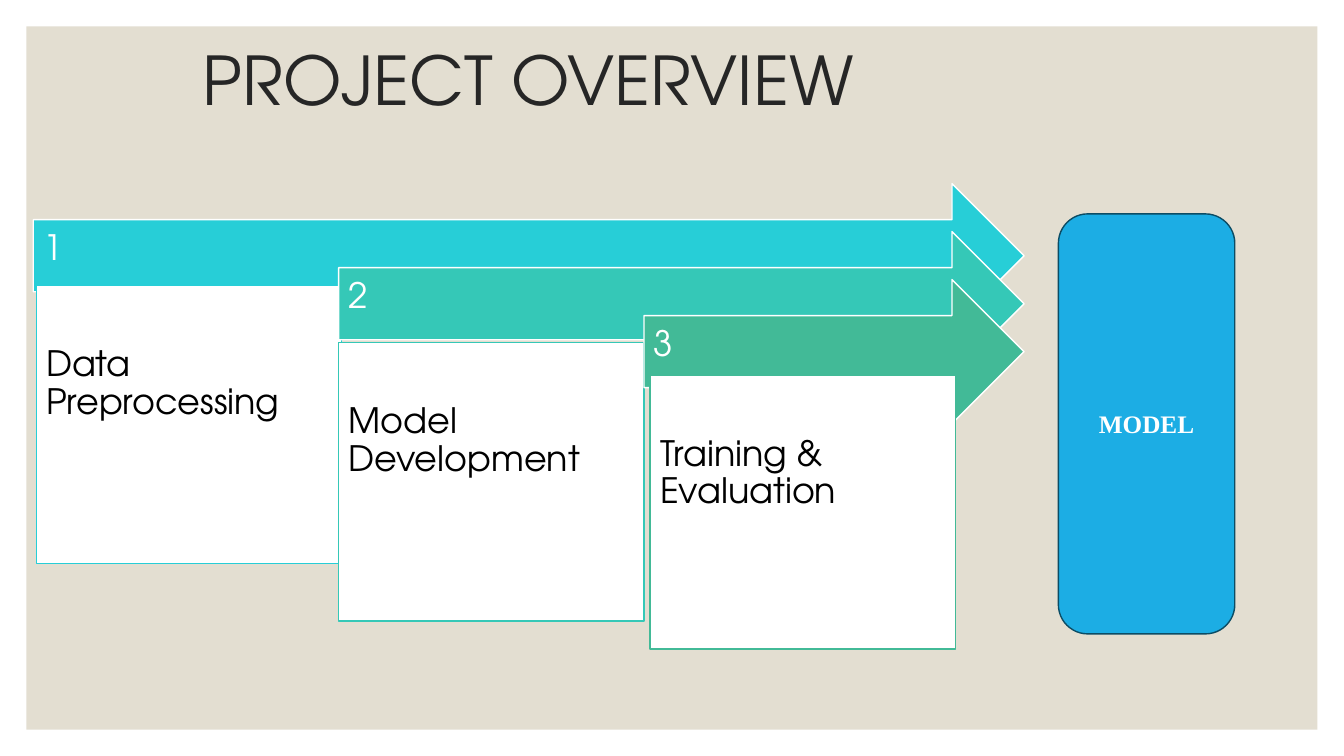
from pptx import Presentation
from pptx.dml.color import RGBColor
from pptx.enum.shapes import MSO_SHAPE as Kind
from pptx.enum.text import MSO_ANCHOR as Anchor, MSO_AUTO_SIZE as Fit, PP_ALIGN as Align
from pptx.util import Pt

# Content: number, label, colour, card (left, top, height)
TITLE = "PROJECT OVERVIEW"
STEPS = [
    ("1", "Data Preprocessing", "27CED7", (25.9, 203.8, 198.7)),
    ("2", "Model Development", "35C8B7", (241.9, 244.8, 198.7)),
    ("3", "Training & Evaluation", "42BA97", (464.4, 267.8, 195.8)),
]
RESULT = "MODEL"

THEME = {
    "panel": "E3DED1", "title": "262626", "white": "FFFFFF", "text": "000000",
    "box": "1CADE4", "edge": "0C4C64",
    "font": "TeX Gyre Adventor", "serif": "Times New Roman",
    "head": 48, "step": 25, "model": 18,
}

# Layout in points
WIDE, HIGH = 960, 540
EDGE = 18.9
LEFT, TOP, TIP = 23.8, 131.2, 731.5
STEP_X, STEP_Y = 218.1, 34.25
ARROW_H, CARD_W = 103, 218.2


def color(name):
    return RGBColor.from_string(THEME.get(name, name))


def shape(slide, kind, box, fill, line=None):
    item = slide.shapes.add_shape(kind, *map(Pt, box))
    item.shadow.inherit = False
    item.fill.solid()
    item.fill.fore_color.rgb = color(fill)
    if line:
        item.line.color.rgb = color(line)
        item.line.width = Pt(1)
    else:
        item.line.fill.background()
    return item


def write(item, text, size, ink, font="font", anchor=Anchor.MIDDLE,
          align=Align.LEFT, pads=(7.2, 3.6, 7.2, 3.6), space=0.9, bold=False):
    frame = item.text_frame
    frame.text = text
    frame.word_wrap = True
    frame.auto_size = Fit.NONE
    frame.vertical_anchor = anchor
    (frame.margin_left, frame.margin_top,
     frame.margin_right, frame.margin_bottom) = map(Pt, pads)
    para = frame.paragraphs[0]
    para.alignment = align
    para.line_spacing = space
    para.font.name = THEME[font]
    para.font.size = Pt(THEME[size])
    para.font.color.rgb = color(ink)
    para.font.bold = bold


def main():
    deck = Presentation()
    deck.slide_width, deck.slide_height = Pt(WIDE), Pt(HIGH)
    slide = deck.slides.add_slide(deck.slide_layouts[5])

    # Panel, placed behind the title
    panel = shape(slide, Kind.RECTANGLE,
                  (EDGE, EDGE, WIDE - 2 * EDGE, HIGH - 2 * EDGE), "panel")
    title = slide.shapes.title
    title.element.addprevious(panel.element)

    # Title
    title.left, title.top, title.width, title.height = map(Pt, (137.5, 30.2, 618.5, 59.8))
    write(title, TITLE, "head", "title")

    # Arrows share one tip; each starts one step further in
    for i, (number, label, tint, (left, top, high)) in enumerate(STEPS):
        start = LEFT + i * STEP_X
        arrow = shape(slide, Kind.RIGHT_ARROW,
                      (start, TOP + i * STEP_Y, TIP - start, ARROW_H), tint, "white")
        write(arrow, number, "step", "white", pads=(7.2, 7.2, 20, 16.6))
        card = shape(slide, Kind.RECTANGLE, (left, top, CARD_W, high), "white", tint)
        write(card, label, "step", "text", anchor=Anchor.TOP, pads=(7.2, 43.6, 7.2, 7.2))

    # Result
    model = shape(slide, Kind.ROUNDED_RECTANGLE, (756, 152.8, 126, 300), "box", "edge")
    write(model, RESULT, "model", "white", font="serif",
          align=Align.CENTER, space=1.0, bold=True)

    deck.save("out.pptx")


if __name__ == "__main__":
    main()
